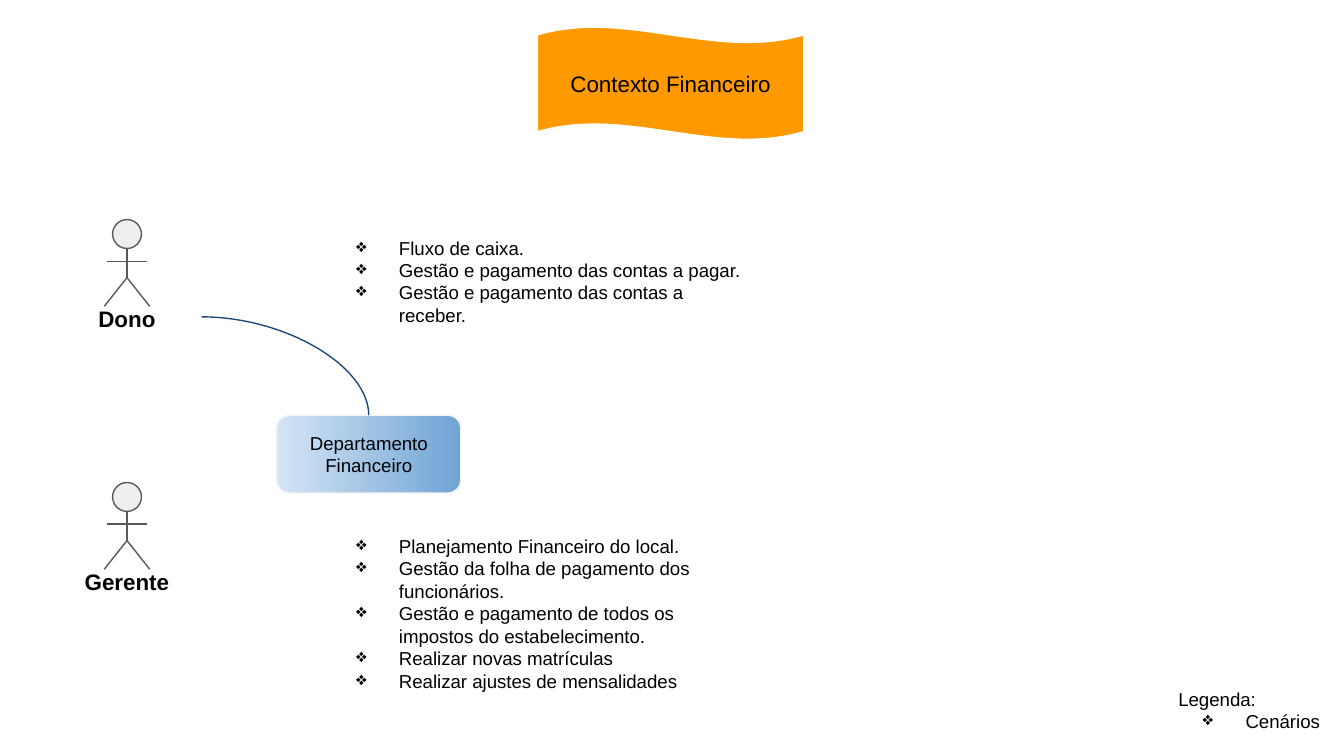
from dataclasses import dataclass

from lxml import etree
from pptx import Presentation
from pptx.dml.color import RGBColor
from pptx.enum.shapes import MSO_CONNECTOR, MSO_SHAPE
from pptx.enum.text import MSO_ANCHOR, PP_ALIGN
from pptx.oxml.ns import qn
from pptx.util import Cm, Pt

WAVE = MSO_SHAPE.WAVE
ROUNDED = MSO_SHAPE.ROUNDED_RECTANGLE
CIRCLE = MSO_SHAPE.FLOWCHART_CONNECTOR
STRAIGHT = MSO_CONNECTOR.STRAIGHT
CURVE = MSO_CONNECTOR.CURVE
LEFT, CENTER = PP_ALIGN.LEFT, PP_ALIGN.CENTER
TOP, MIDDLE = MSO_ANCHOR.TOP, MSO_ANCHOR.MIDDLE


@dataclass(frozen=True)
class Theme:
    font: str = "Arial"
    title_size: int = 12
    body_size: int = 10
    line_width: float = 0.75
    text: str = "000000"
    banner: str = "FF9900"
    banner_line: str = "FFFFFF"
    department_light: str = "D4E5F5"
    department_dark: str = "70A4D5"
    department_line: str = "F3F3F3"
    head: str = "EEEEEE"
    figure_line: str = "595959"
    link: str = "1F497D"


THEME = Theme()


def lengths(values):
    return [Cm(value) for value in values]


def write(shape, lines, size, align=LEFT, anchor=TOP, bold=False):
    frame = shape.text_frame
    frame.word_wrap = True
    frame.vertical_anchor = anchor
    frame.margin_left = frame.margin_right = Cm(0.25)
    frame.margin_top = frame.margin_bottom = Cm(0.25)
    frame.text = "\n".join(lines)
    for para in frame.paragraphs:
        para.alignment = align
        for span in para.runs:
            span.font.name = THEME.font
            span.font.size = Pt(size)
            span.font.bold = bold
            span.font.color.rgb = RGBColor.from_string(THEME.text)
    return frame


def outline(shape, color):
    shape.line.color.rgb = RGBColor.from_string(color)
    shape.line.width = Pt(THEME.line_width)


def add_preset(shapes, kind, box, line, fill=None):
    shape = shapes.add_shape(kind, *lengths(box))
    shape.shadow.inherit = False
    outline(shape, line)
    if fill:
        shape.fill.solid()
        shape.fill.fore_color.rgb = RGBColor.from_string(fill)
    return shape


def add_line(shapes, kind, start, end, color):
    line = shapes.add_connector(kind, *lengths((*start, *end)))
    outline(line, color)
    etree.SubElement(line._element.spPr, qn("a:effectLst"))
    return line


def add_bullet(para):
    properties = para._p.get_or_add_pPr()
    properties.set("marL", str(Cm(1.27)))
    properties.set("indent", str(Cm(-0.81)))
    color = etree.SubElement(properties, qn("a:buClr"))
    etree.SubElement(color, qn("a:srgbClr"), val=THEME.text)
    etree.SubElement(properties, qn("a:buChar"), char="❖")


def add_banner(page, box, title):
    banner = add_preset(page.shapes, WAVE, box, THEME.banner_line, THEME.banner)
    banner.adjustments[0] = 0.07
    banner.adjustments[1] = 0
    write(banner, [title], THEME.title_size, CENTER, MIDDLE)


def add_department(page, box, name):
    department = add_preset(page.shapes, ROUNDED, box, THEME.department_line)
    department.fill.gradient()
    department.fill.gradient_angle = 0
    colors = (THEME.department_light, THEME.department_dark)
    for stop, color in zip(department.fill.gradient_stops, colors):
        stop.color.rgb = RGBColor.from_string(color)
    write(department, [name], THEME.body_size, CENTER, MIDDLE)


def add_actor(page, box, name, label_width):
    """Stick figure filling the box, with its name centred below."""
    left, top, width, height = box
    middle, bottom = left + width / 2, top + height
    head = height / 3
    neck, arms, hip = top + head, top + height * 0.48, top + height * 0.67
    reach = width * 0.44
    shapes = page.shapes.add_group_shape().shapes

    add_preset(shapes, CIRCLE, (middle - head / 2, top, head, head),
               THEME.figure_line, THEME.head)
    limbs = (
        ((middle, neck), (middle, hip)),
        ((middle - reach, arms), (middle + reach, arms)),
        ((middle, hip), (left, bottom)),
        ((middle, hip), (left + width, bottom)),
    )
    for start, end in limbs:
        add_line(shapes, STRAIGHT, start, end, THEME.figure_line)

    label = shapes.add_textbox(*lengths(
        (middle - label_width / 2, bottom - 0.27, label_width, 0.94)))
    write(label, [name], THEME.title_size, CENTER, bold=True)


def add_scenarios(page, box, scenarios, heading=None):
    lines = [heading, *scenarios] if heading else scenarios
    frame = write(page.shapes.add_textbox(*lengths(box)), lines, THEME.body_size)
    for para in frame.paragraphs[1 if heading else 0:]:
        add_bullet(para)


def add_link(page, box):
    """Quarter curve from the top left to the bottom right of the box."""
    left, top, width, height = box
    link = add_line(page.shapes, CURVE, (left, top),
                    (left + width, top + height), THEME.link)
    link._element.spPr.find(qn("a:prstGeom")).set("prst", "curvedConnector2")


def main():
    deck = Presentation()
    deck.slide_width, deck.slide_height = Cm(25.4), Cm(14.29)
    page = deck.slides.add_slide(deck.slide_layouts[6])

    add_banner(page, (10.16, 0.51, 5.03, 2.13), "Contexto Financeiro")
    add_department(page, (5.23, 7.85, 3.48, 1.47), "Departamento Financeiro")
    add_actor(page, (1.97, 9.12, 0.86, 1.64), "Gerente", 2.29)
    add_actor(page, (1.97, 4.15, 0.86, 1.64), "Dono", 2.84)
    add_link(page, (3.81, 5.99, 3.16, 1.86))
    add_scenarios(page, (6.02, 4.22, 8.43, 3.1), [
        "Fluxo de caixa.",
        "Gestão e pagamento das contas a pagar.",
        "Gestão e pagamento das contas a receber.",
    ])
    add_scenarios(page, (6.02, 9.86, 8.43, 4.22), [
        "Planejamento Financeiro do local.",
        "Gestão da folha de pagamento dos funcionários.",
        "Gestão e pagamento de todos os impostos do estabelecimento.",
        "Realizar novas matrículas",
        "Realizar ajustes de mensalidades",
    ])
    add_scenarios(page, (22.02, 12.75, 3.23, 1.32), ["Cenários"], "Legenda:")

    deck.save("out.pptx")


if __name__ == "__main__":
    main()
